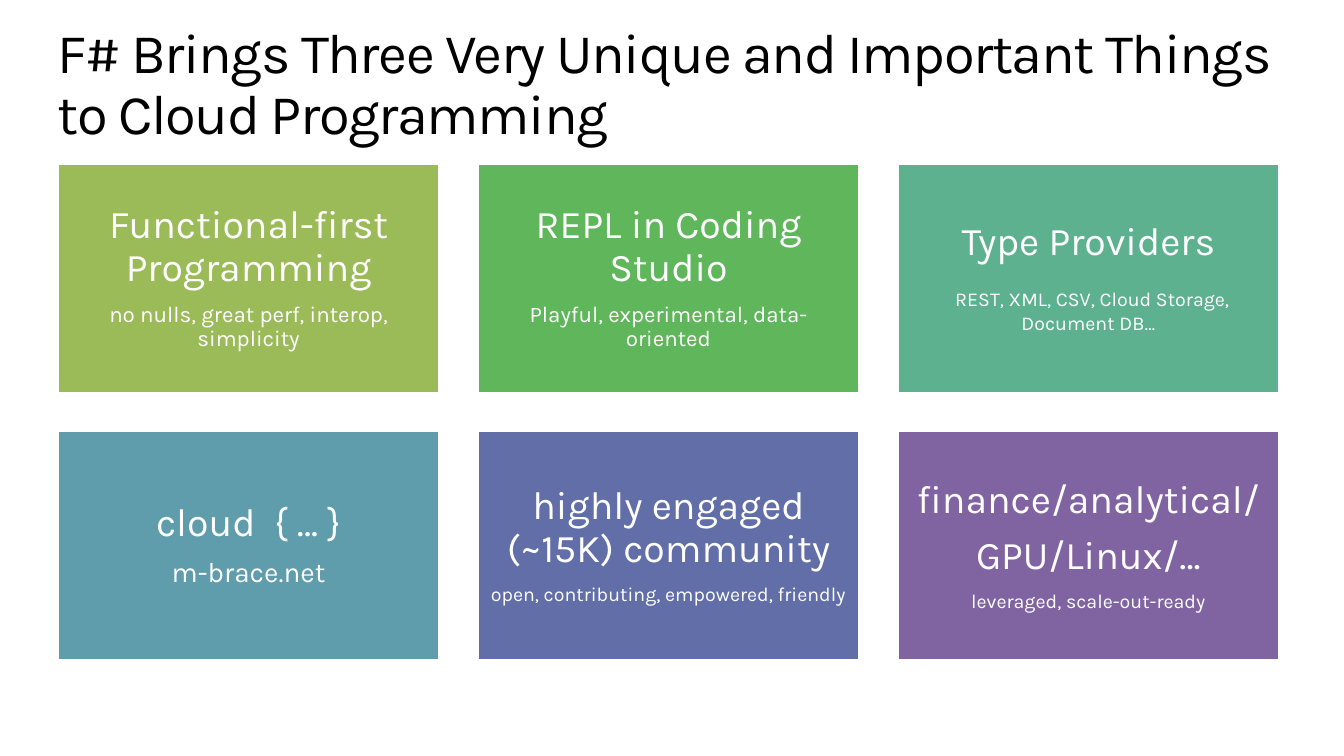
from pptx import Presentation
from pptx.dml.color import RGBColor
from pptx.enum import shapes, text
from pptx.util import Pt

FONT = "Karla"
WHITE = RGBColor(0xFF, 0xFF, 0xFF)
BLACK = RGBColor(0x00, 0x00, 0x00)
OLIVE = RGBColor(0x9B, 0xBB, 0x59)
GREEN = RGBColor(0x5F, 0xB6, 0x5B)
SEAFOAM = RGBColor(0x5D, 0xB1, 0x8E)
TEAL = RGBColor(0x5F, 0x9D, 0xAC)
INDIGO = RGBColor(0x62, 0x6E, 0xA7)
PURPLE = RGBColor(0x80, 0x64, 0xA2)

TITLE = "F# Brings Three Very Unique and Important Things to Cloud Programming"
HEADING_SIZE = 28
CARDS = [
    (OLIVE, [[("Functional-first Programming", HEADING_SIZE)],
             [("no nulls, great perf, interop, simplicity", 16)]]),
    (GREEN, [[("REPL in Coding Studio", HEADING_SIZE)],
             [("Playful, experimental, data-oriented", 16)]]),
    (SEAFOAM, [[("Type Providers", HEADING_SIZE)],
               [(" ", 24), ("REST, XML, CSV, Cloud Storage, Document DB…", 14)]]),
    (TEAL, [[("cloud  { … }", HEADING_SIZE)],
            [("m-brace.net", 20)]]),
    (INDIGO, [[("highly engaged (~15K) community", HEADING_SIZE)],
              [("open, contributing, empowered, friendly", 14)]]),
    (PURPLE, [[("finance/analytical/", HEADING_SIZE)],
              [("GPU/Linux/…", HEADING_SIZE)],
              [("leveraged, scale-out-ready", 14)]]),
]


def set_margins(frame, margin):
    frame.margin_left = frame.margin_right = Pt(margin)
    frame.margin_top = frame.margin_bottom = Pt(margin)


def add_run(paragraph, words, size, color):
    run = paragraph.add_run()
    run.text = words
    run.font.name = FONT
    run.font.size = Pt(size)
    run.font.color.rgb = color
    return run


def add_title(slide, left, top, width, height):
    box = slide.shapes.add_textbox(Pt(left), Pt(top), Pt(width), Pt(height))
    frame = box.text_frame
    frame.word_wrap = True
    frame.auto_size = text.MSO_AUTO_SIZE.SHAPE_TO_FIT_TEXT
    set_margins(frame, 0)
    paragraph = frame.paragraphs[0]
    paragraph.line_spacing = 0.9
    run = add_run(paragraph, TITLE, 40, BLACK)
    run._r.get_or_add_rPr().set("spc", "-100")


def add_card(slide, left, top, width, height, color, paragraphs):
    card = slide.shapes.add_shape(
        shapes.MSO_SHAPE.RECTANGLE, Pt(left), Pt(top), Pt(width), Pt(height))
    card.shadow.inherit = False
    card.fill.solid()
    card.fill.fore_color.rgb = color
    card.line.color.rgb = WHITE
    card.line.width = Pt(2)
    frame = card.text_frame
    frame.word_wrap = True
    frame.vertical_anchor = text.MSO_ANCHOR.MIDDLE
    set_margins(frame, 8.4)
    for index, runs in enumerate(paragraphs):
        paragraph = frame.add_paragraph() if index else frame.paragraphs[0]
        paragraph.alignment = text.PP_ALIGN.CENTER
        paragraph.line_spacing = 0.9
        paragraph.space_after = Pt(0.35 * runs[0][1])
        for words, size in runs:
            add_run(paragraph, words, size, WHITE)


def add_card_grid(slide, left, top, width, height, columns=3, rows=2, gap=27.2):
    card_width = (width - gap * (columns - 1)) / columns
    card_height = (height - gap * (rows - 1)) / rows
    for index, (color, paragraphs) in enumerate(CARDS):
        row, column = divmod(index, columns)
        add_card(slide,
                 left + column * (card_width + gap),
                 top + row * (card_height + gap),
                 card_width, card_height, color, paragraphs)


def main():
    presentation = Presentation()
    presentation.slide_width = Pt(960)
    presentation.slide_height = Pt(540)
    slide = presentation.slides.add_slide(presentation.slide_layouts[6])
    add_card_grid(slide, 41.2, 116.9, 872.6, 354.8)
    add_title(slide, 41.2, 18, 878.4, 87)
    presentation.save("out.pptx")


if __name__ == "__main__":
    main()
